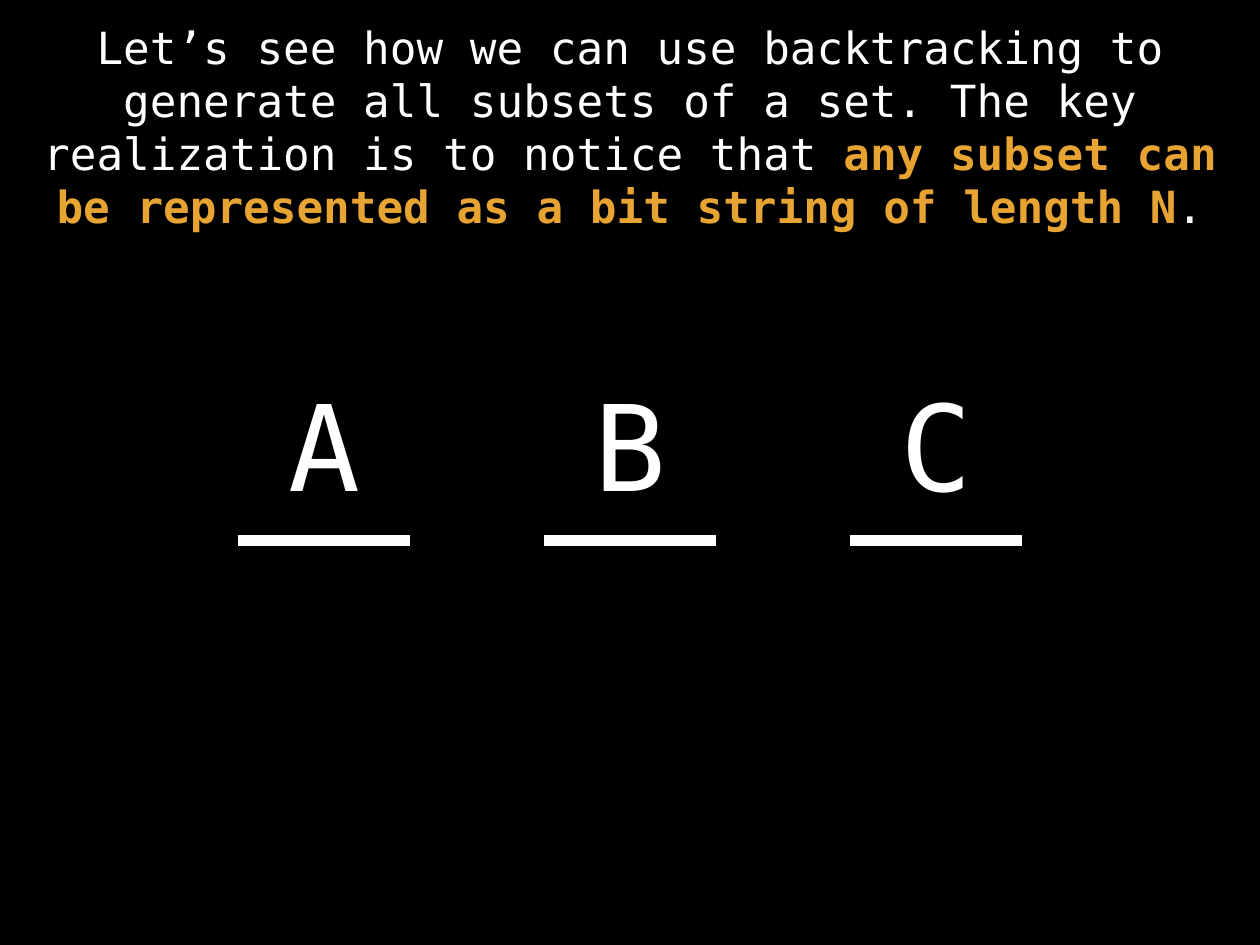
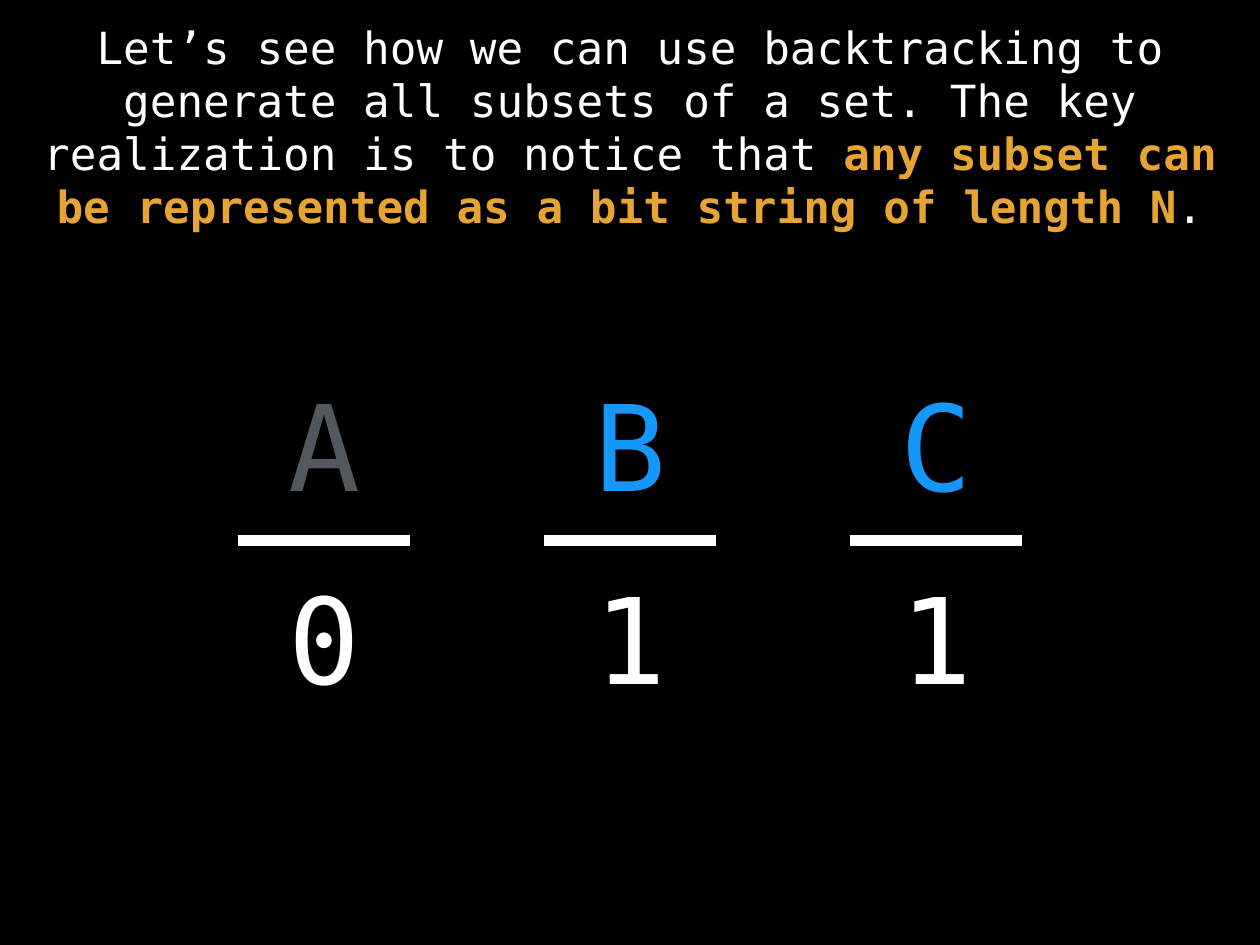
"""Build two slides that show subsets of a set as bit strings."""
from dataclasses import dataclass

from lxml import etree
from pptx import Presentation
from pptx.dml.color import RGBColor
from pptx.enum.shapes import MSO_CONNECTOR
from pptx.enum.text import MSO_ANCHOR, MSO_AUTO_SIZE, PP_ALIGN
from pptx.oxml.ns import qn
from pptx.slide import Slide
from pptx.text.text import TextFrame
from pptx.util import Cm, Pt

STRAIGHT = MSO_CONNECTOR.STRAIGHT
CENTER = PP_ALIGN.CENTER
MIDDLE = MSO_ANCHOR.MIDDLE
GROW = MSO_AUTO_SIZE.SHAPE_TO_FIT_TEXT

FONT = "DejaVu Sans Mono"
BLACK, WHITE, ORANGE, BLUE, GRAY = "000000", "FFFFFF", "E8A432", "1597FC", "53585F"

PAGE_WIDTH, PAGE_HEIGHT = 36.12, 27.1
COLUMN_PITCH = 8.77
BAR_WIDTH, BAR_TOP = 4.95, 15.49
SYMBOL_WIDTH, SYMBOL_HEIGHT = 2.39, 4.27
LETTER_TOP, BIT_TOP = 10.59, 16.13
INSET = 0.15


@dataclass(frozen=True)
class Span:
    """A piece of the intro text with its own look."""

    text: str
    color: str = WHITE
    bold: bool = False


@dataclass(frozen=True)
class Element:
    """A set element with its letter colour and membership bit."""

    letter: str
    color: str = WHITE
    bit: str = ""


INTRO = (
    Span("Let’s see how we can use backtracking to generate all subsets of a set. "
         "The key realization is to notice that "),
    Span("any subset can be represented as a bit string of length N", ORANGE, True),
    Span("."),
)
PAGES = (
    (Element("A"), Element("B"), Element("C")),
    (Element("A", GRAY, "0"), Element("B", BLUE, "1"), Element("C", BLUE, "1")),
)


def rgb(color: str) -> RGBColor:
    """Turn a hex string into a colour."""
    return RGBColor.from_string(color)


def add_text(page: Slide, left: float, top: float, width: float, height: float,
             spans: tuple[Span, ...], size: float) -> TextFrame:
    """Add a centred text box made of spans."""
    box = page.shapes.add_textbox(Cm(left), Cm(top), Cm(width), Cm(height))
    frame = box.text_frame
    frame.word_wrap = True
    frame.margin_left = frame.margin_right = Cm(INSET)
    frame.margin_top = frame.margin_bottom = Cm(INSET)
    para = frame.paragraphs[0]
    para.alignment = CENTER
    para.font.name = FONT
    para.font.size = Pt(size)
    for span in spans:
        run = para.add_run()
        run.text = span.text
        run.font.bold = span.bold
        run.font.color.rgb = rgb(span.color)
    return frame


def add_symbol(page: Slide, center: float, top: float, text: str, color: str) -> None:
    """Add one large character centred on its column."""
    frame = add_text(page, center - SYMBOL_WIDTH / 2, top, SYMBOL_WIDTH, SYMBOL_HEIGHT,
                     (Span(text, color),), 97)
    frame.word_wrap = False
    frame.auto_size = GROW
    frame.vertical_anchor = MIDDLE


def add_bar(page: Slide, center: float) -> None:
    """Add the thick line under a letter."""
    bar = page.shapes.add_connector(
        STRAIGHT, Cm(center - BAR_WIDTH / 2), Cm(BAR_TOP),
        Cm(center + BAR_WIDTH / 2), Cm(BAR_TOP))
    bar.line.color.rgb = rgb(WHITE)
    bar.line.width = Pt(9)
    etree.SubElement(bar._element.spPr, qn("a:effectLst"))


def add_page(deck: Presentation, elements: tuple[Element, ...]) -> None:
    """Add a slide with the intro and one column per element."""
    page = deck.slides.add_slide(deck.slide_layouts[6])
    add_text(page, 0, 0.43, PAGE_WIDTH, 10.52, INTRO, 36)
    for index, element in enumerate(elements):
        center = PAGE_WIDTH / 2 + (index - (len(elements) - 1) / 2) * COLUMN_PITCH
        add_bar(page, center)
        add_symbol(page, center, LETTER_TOP, element.letter, element.color)
        if element.bit:
            add_symbol(page, center, BIT_TOP, element.bit, WHITE)


def main() -> None:
    """Build and save the deck."""
    deck = Presentation()
    deck.slide_width, deck.slide_height = Cm(PAGE_WIDTH), Cm(PAGE_HEIGHT)
    backdrop = deck.slide_master.background.fill
    backdrop.solid()
    backdrop.fore_color.rgb = rgb(BLACK)
    for elements in PAGES:
        add_page(deck, elements)
    deck.save("out.pptx")


if __name__ == "__main__":
    main()
